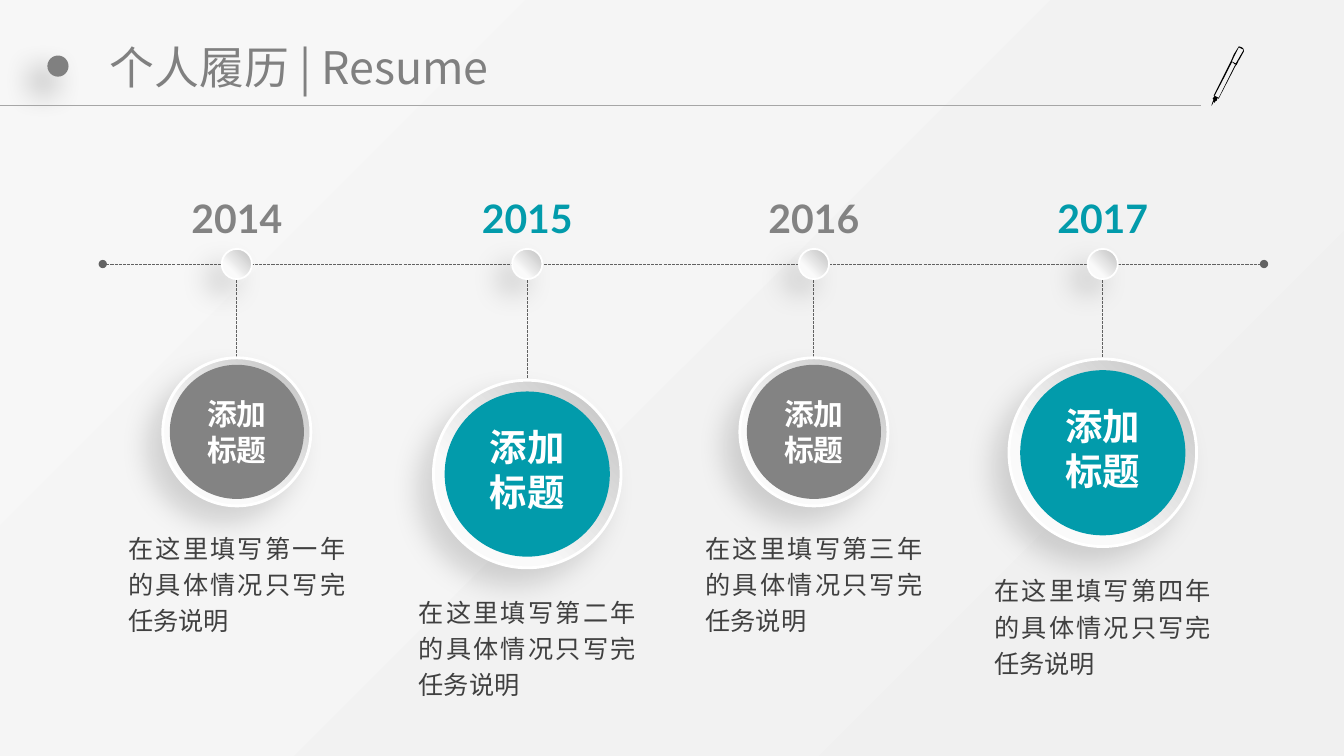
from dataclasses import dataclass

from lxml.etree import SubElement
from pptx import Presentation
from pptx.dml.color import RGBColor
from pptx.enum.dml import MSO_LINE
from pptx.enum.shapes import MSO_CONNECTOR, MSO_SHAPE
from pptx.enum.text import MSO_ANCHOR, MSO_AUTO_SIZE, PP_ALIGN
from pptx.oxml.ns import qn
from pptx.util import Pt


@dataclass(frozen=True)
class Theme:
    cjk: str = "Noto Sans CJK SC"
    latin: str = "Lato"
    title: str = "808080"
    body: str = "404040"
    grey: str = "838383"
    teal: str = "029BAB"
    white: str = "FFFFFF"
    black: str = "000000"
    rule: str = "A6A6A6"
    dashes: str = "626262"
    backdrop: tuple = ("F0F0F0", "F7F7F7")
    ring: tuple = ("BFBFBF", "FAFAFA")
    title_size: float = 32
    year_size: float = 28
    body_size: float = 18


THEME = Theme()


def write_lines(frame, lines, font, size, color, bold=False, align=PP_ALIGN.CENTER):
    for index, line in enumerate(lines):
        paragraph = frame.paragraphs[0] if index == 0 else frame.add_paragraph()
        paragraph.alignment = align
        run = paragraph.add_run()
        run.text = line
        run.font.name = font
        run.font.size = Pt(size)
        run.font.bold = bold
        run.font.color.rgb = RGBColor.from_string(color)
        SubElement(run.font._element, qn("a:ea"), typeface=font)


def add_disc(x, y, diameter, color=None, border=0, shadow=None):
    """Disc centred on x, y; without a colour it gets the ring gradient."""
    disc = slide.shapes.add_shape(MSO_SHAPE.OVAL, Pt(x - diameter / 2),
                                  Pt(y - diameter / 2), Pt(diameter), Pt(diameter))
    if color:
        disc.fill.solid()
        disc.fill.fore_color.rgb = RGBColor.from_string(color)
    else:
        disc.fill.gradient()
        disc.fill.gradient_angle = 225
        for stop, shade, position in zip(disc.fill.gradient_stops, THEME.ring, (0, 0.7)):
            stop.color.rgb = RGBColor.from_string(shade)
            stop.position = position
    if border:
        disc.line.color.rgb = RGBColor.from_string(THEME.white)
        disc.line.width = Pt(border)
    else:
        disc.line.fill.background()
    disc.shadow.inherit = False
    if shadow:
        blur, opacity = shadow
        effects = disc._element.spPr.find(qn("a:effectLst"))
        outer = SubElement(effects, qn("a:outerShdw"), blurRad=str(Pt(blur)),
                           dist=str(Pt(15)), dir=str(135 * 60000),
                           algn="tr", rotWithShape="0")
        tone = SubElement(outer, qn("a:srgbClr"), val=THEME.black)
        SubElement(tone, qn("a:alpha"), val=str(opacity * 1000))


# Slide and backdrop
prs = Presentation()
prs.slide_width, prs.slide_height = Pt(960), Pt(540)
slide = prs.slides.add_slide(prs.slide_layouts[5])
backdrop = slide.background.fill
backdrop.gradient()
backdrop.gradient_angle = 135
for stop, shade, position in zip(backdrop.gradient_stops, THEME.backdrop, (0, 1)):
    stop.color.rgb = RGBColor.from_string(shade)
    stop.position = position

# Title
title = slide.shapes.title
title.left, title.top, title.width, title.height = Pt(73.4), Pt(13.7), Pt(785.5), Pt(67.7)
heading = title.text_frame
heading.auto_size = MSO_AUTO_SIZE.NONE
heading.vertical_anchor = MSO_ANCHOR.MIDDLE
heading.margin_left = heading.margin_right = Pt(5)
heading.margin_top = heading.margin_bottom = Pt(2.9)
write_lines(heading, ["个人履历 | Resume"], THEME.cjk, THEME.title_size,
            THEME.title, align=PP_ALIGN.LEFT)
add_disc(41.4, 47.2, 15.1, THEME.title, shadow=(22, 40))

# Pen: outline, barrel and cap, in hundredths of an inch
outline = [(1234, 49), (1232, 47), (1229, 46), (1224, 54), (1221, 61), (1204, 95),
           (1205, 95), (1203, 98), (1204, 99), (1203, 101), (1202, 104), (1202, 105),
           (1204, 101), (1205, 102), (1206, 100), (1207, 100), (1208, 97), (1209, 98),
           (1226, 65), (1227, 64), (1233, 52), (1228, 61), (1228, 62), (1234, 51)]
barrel = [(1225, 65), (1209, 97), (1205, 95), (1216, 74), (1222, 62), (1223, 62),
          (1225, 64), (1226, 64)]
cap = [(1226, 63), (1222, 61), (1229, 47), (1233, 49), (1234, 49)]
builder = slide.shapes.build_freeform(*outline[0], scale=Pt(0.72))
builder.add_line_segments(outline[1:])
for opening in (barrel, cap):
    builder.move_to(*opening[0])
    builder.add_line_segments(opening[1:])
pen = builder.convert_to_shape()
pen.fill.solid()
pen.fill.fore_color.rgb = RGBColor.from_string(THEME.black)
pen.line.fill.background()
pen.shadow.inherit = False

# Years: label, centre x, topic centre y, ordinal, large topic
AXIS_Y = 188.6
years = [("2014", 169.2, 308.5, "一", False), ("2015", 376.6, 338.6, "二", True),
         ("2016", 581.4, 308.5, "三", False), ("2017", 787.7, 323.4, "四", True)]

# Rule under the title, stems and time axis
segments = [(0, 75.6, 858.2, 75.6, False)]
segments += [(x, AXIS_Y, x, 283, True) for _, x, _, _, _ in years]
segments += [(73.4, AXIS_Y, 902.9, AXIS_Y, True)]
for x1, y1, x2, y2, dashed in segments:
    stroke = slide.shapes.add_connector(MSO_CONNECTOR.STRAIGHT, Pt(x1), Pt(y1), Pt(x2), Pt(y2))
    stroke.line.width = Pt(0.75)
    stroke.line.color.rgb = RGBColor.from_string(THEME.dashes if dashed else THEME.rule)
    if dashed:
        stroke.line.dash_style = MSO_LINE.SQUARE_DOT
        for end in ("a:headEnd", "a:tailEnd"):
            SubElement(stroke.line._get_or_add_ln(), qn(end), type="oval")
    SubElement(stroke._element.spPr, qn("a:effectLst"))

# Year markers, topics and descriptions
for year, x, y, ordinal, large in years:
    color = THEME.teal if large else THEME.grey
    ring, core, topic_size = (134, 118, 26.7) if large else (105.8, 95.8, 21.3)
    topic_width, topic_height, topic_rise = (68.4, 72, 39.2) if large else (57.6, 59, 29.2)
    add_disc(x, AXIS_Y, 21.6, border=1.25, shadow=(20, 15))
    add_disc(x, y, ring, border=2, shadow=(20, 15))
    add_disc(x, y, core, color)

    label = slide.shapes.add_textbox(Pt(x - 40), Pt(135.4), Pt(80), Pt(41)).text_frame
    label.word_wrap = False
    write_lines(label, [year], THEME.latin, THEME.year_size, color, bold=True)

    topic = slide.shapes.add_textbox(Pt(x - topic_width / 2), Pt(y - topic_rise),
                                     Pt(topic_width), Pt(topic_height)).text_frame
    topic.word_wrap = False
    write_lines(topic, ["添加", "标题"], THEME.cjk, topic_size, THEME.white, bold=True)

    description = slide.shapes.add_textbox(Pt(x - 84.6), Pt(y + (80.6 if large else 65.2)),
                                           Pt(169.2), Pt(83.5)).text_frame
    description.word_wrap = True
    description.vertical_anchor = MSO_ANCHOR.MIDDLE
    write_lines(description, [f"在这里填写第{ordinal}年的具体情况只写完任务说明"], THEME.cjk,
                THEME.body_size, THEME.body, align=PP_ALIGN.JUSTIFY)
    description.paragraphs[0].line_spacing = 1.2

prs.save("out.pptx")
